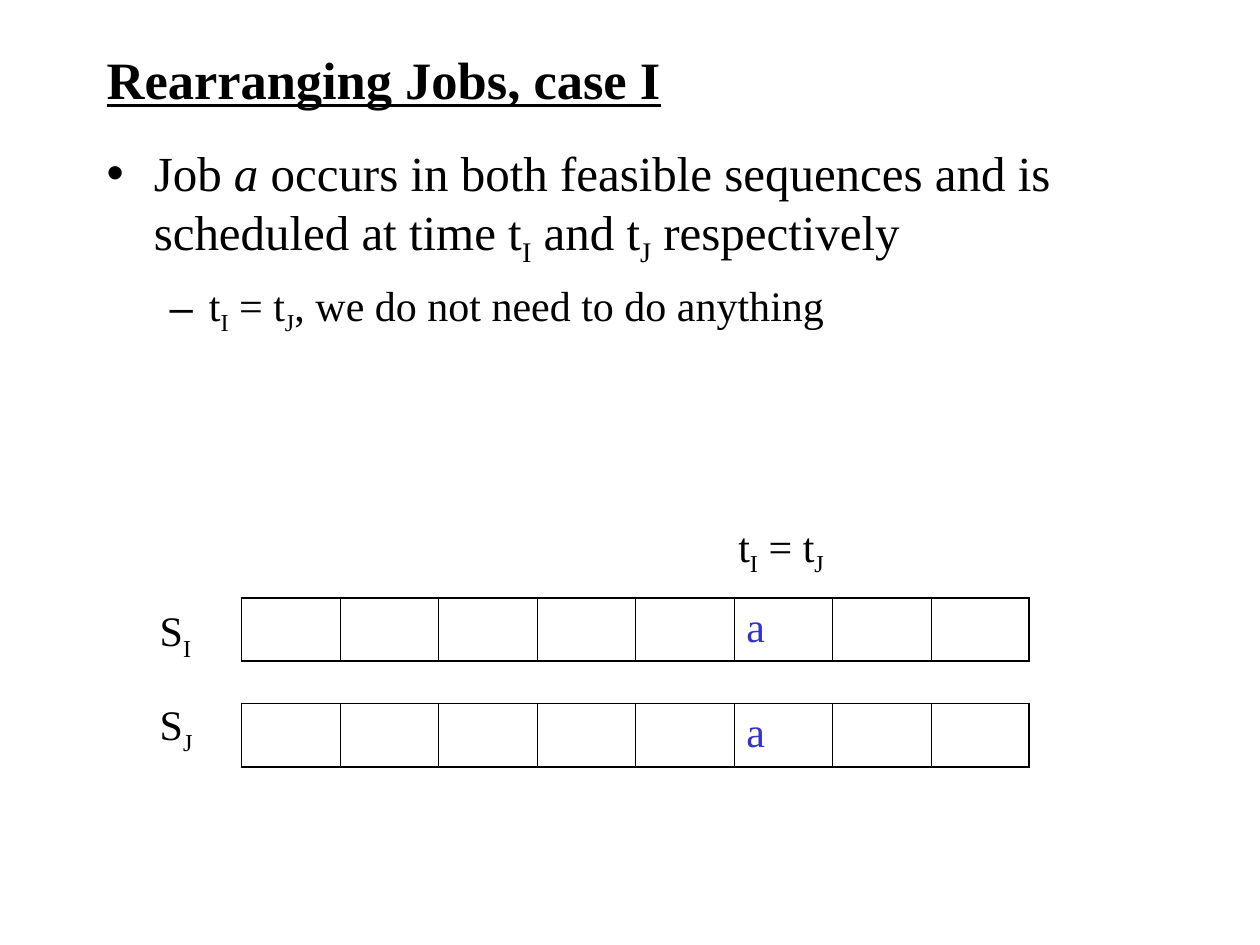
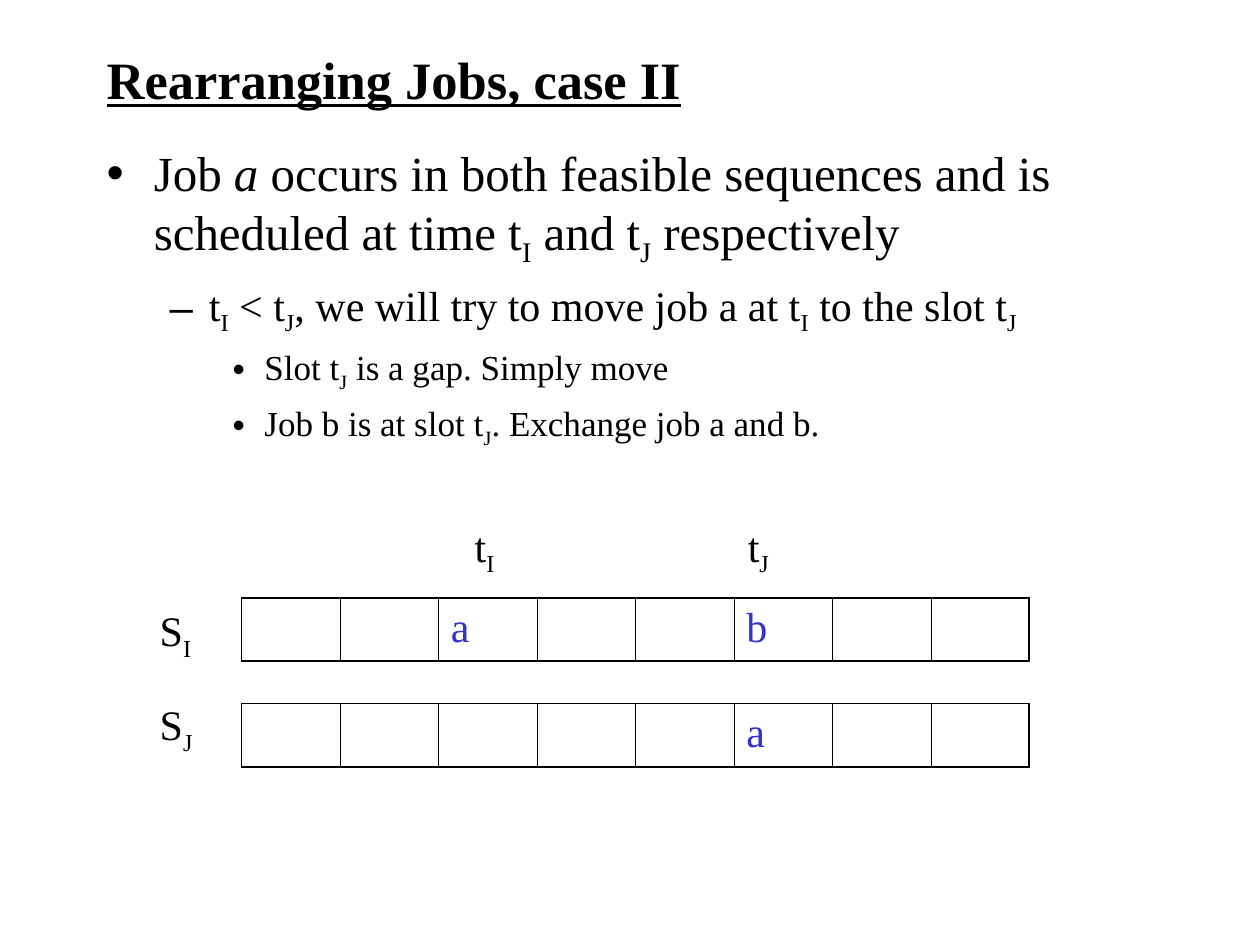
import pptx
import pptx.util
import pptx.dml.color
import pptx.enum.text
import lxml.etree
from pptx.oxml.ns import qn

Cm = pptx.util.Cm
Pt = pptx.util.Pt
ENUM = pptx.enum.text
HUES = {"ink": "000000", "job": "3333CC"}
FACE = "Times New Roman"
SLOTS = 8
FRAME = {"margin_left": Cm(0.25), "margin_right": Cm(0.25),
         "margin_top": Cm(0.13), "margin_bottom": Cm(0.13)}
LEVELS = [
    {"size": 28, "gap": 7, "left": 0.95, "hang": 0.95, "mark": "•"},
    {"size": 24, "gap": 6, "left": 2.06, "hang": 0.79, "mark": "–"},
    {"size": 20, "gap": 5, "left": 3.18, "hang": 0.64, "mark": "•"},
]
HEAD = (1.9, 0.85, 17.15, 1.47)
BODY = (1.9, 2.75, 21.6, 14.18)
CHART = (2.97, 10.36, 17.78, 5.08)
CLAIM = ("Job ~/a~ occurs in both feasible sequences and is scheduled "
         "at time t~_I~ and t~_J~ respectively")
CASES = [
    {"title": "Rearranging Jobs, case I",
     "list": [(0, CLAIM), (1, "t~_I~ = t~_J~, we do not need to do anything")],
     "ticks": [("t~_I~ = t~_J", 5, -0.16, 2.3)],
     "rows": [{5: "a"}, {5: "a"}]},
    {"title": "Rearranging Jobs, case II",
     "list": [(0, CLAIM),
              (1, "t~_I~ < t~_J~, we will try to move job a at t~_I~ "
                  "to the slot t~_J"),
              (2, "Slot t~_J~ is a gap. Simply move"),
              (2, "Job b is at slot t~_J~. Exchange job a and b.")],
     "ticks": [("t~_I", 2, 0.48, 1), ("t~_J", 5, 0.03, 1)],
     "rows": [{2: "a", 5: "b"}, {5: "a"}]},
]


def put(item, **values):
    for name, value in values.items():
        setattr(item, name, value)


def place(shape, box):
    put(shape, **dict(zip(("left", "top", "width", "height"), map(Cm, box))))


def write(para, text, size, hue="ink", **style):
    for part in text.split("~"):
        mark = part[0] if part[0] in "/_" else ""
        run = para.add_run()
        run.text = part[len(mark):]
        put(run.font, name=FACE, size=Pt(size), **style)
        run.font.color.rgb = pptx.dml.color.RGBColor.from_string(HUES[hue])
        if mark == "/":
            run.font.italic = True
        if mark == "_":
            run.font._element.set("baseline", "-25000")


def bullet(para, rule):
    props = para._p.get_or_add_pPr()
    props.set("marL", str(Cm(rule["left"])))
    props.set("indent", str(-Cm(rule["hang"])))
    tint = lxml.etree.SubElement(props, qn("a:buClr"))
    lxml.etree.SubElement(tint, qn("a:srgbClr"), val=HUES["ink"])
    lxml.etree.SubElement(props, qn("a:buChar"), char=rule["mark"])


def title(slide, box, text):
    shape = slide.shapes.title
    place(shape, box)
    frame = shape.text_frame
    put(frame, vertical_anchor=ENUM.MSO_ANCHOR.MIDDLE, word_wrap=True,
        auto_size=ENUM.MSO_AUTO_SIZE.NONE, **FRAME)
    para = frame.paragraphs[0]
    para.alignment = ENUM.PP_ALIGN.LEFT
    write(para, text, 30, bold=True, underline=True)


def body(slide, box, lines):
    shape = slide.placeholders[1]
    place(shape, box)
    frame = shape.text_frame
    put(frame, word_wrap=True, auto_size=ENUM.MSO_AUTO_SIZE.NONE, **FRAME)
    for index, (level, text) in enumerate(lines):
        para = frame.add_paragraph() if index else frame.paragraphs[0]
        rule = LEVELS[level]
        bullet(para, rule)
        put(para, level=level, space_before=Pt(rule["gap"] if index else 0))
        write(para, text, rule["size"])


def label(slide, box, text):
    frame = slide.shapes.add_textbox(*map(Cm, box)).text_frame
    put(frame, word_wrap=False,
        auto_size=ENUM.MSO_AUTO_SIZE.SHAPE_TO_FIT_TEXT, **FRAME)
    write(frame.paragraphs[0], text, 24)


def border(cell, widths):
    props = cell._tc.get_or_add_tcPr()
    for index, (side, width) in enumerate(widths.items()):
        line = lxml.etree.Element(qn("a:ln" + side), w=str(Pt(width)))
        fill = lxml.etree.SubElement(line, qn("a:solidFill"))
        lxml.etree.SubElement(fill, qn("a:srgbClr"), val=HUES["ink"])
        props.insert(index, line)


def strip(slide, box, jobs):
    table = slide.shapes.add_table(1, SLOTS, *map(Cm, box)).table
    put(table, first_row=False, horz_banding=False)
    for index in range(SLOTS):
        table.columns[index].width = Cm(box[2] / SLOTS)
        cell = table.cell(0, index)
        put(cell, **FRAME)
        cell.fill.background()
        border(cell, {"L": 0.45 if index else 1.08,
                      "R": 0.45 if index < SLOTS - 1 else 1.08,
                      "T": 1.08, "B": 1.08})
        if index in jobs:
            write(cell.text_frame.paragraphs[0], jobs[index], 24, "job")


def chart(slide, box, ticks, rows):
    left, top, width, height = box
    inset, high = 1.9, 1.27
    span = width - inset
    for index, (name, jobs) in enumerate(zip("IJ", rows)):
        strip(slide, (left + inset, top + 1.7 + index * 2.12, span, high), jobs)
        label(slide, (left, top + 1.7 + index * 1.9, 1.3, 1.42), "S~_" + name)
    for text, slot, shift, wide in ticks:
        start = left + inset + slot * span / SLOTS + shift
        label(slide, (start, top, wide, 1.42), text)


def main():
    deck = pptx.Presentation()
    put(deck, slide_width=Cm(25.4), slide_height=Cm(19.05))
    for case in CASES:
        slide = deck.slides.add_slide(deck.slide_layouts[1])
        title(slide, HEAD, case["title"])
        body(slide, BODY, case["list"])
        chart(slide, CHART, case["ticks"], case["rows"])
    deck.save("out.pptx")


if __name__ == "__main__":
    main()
